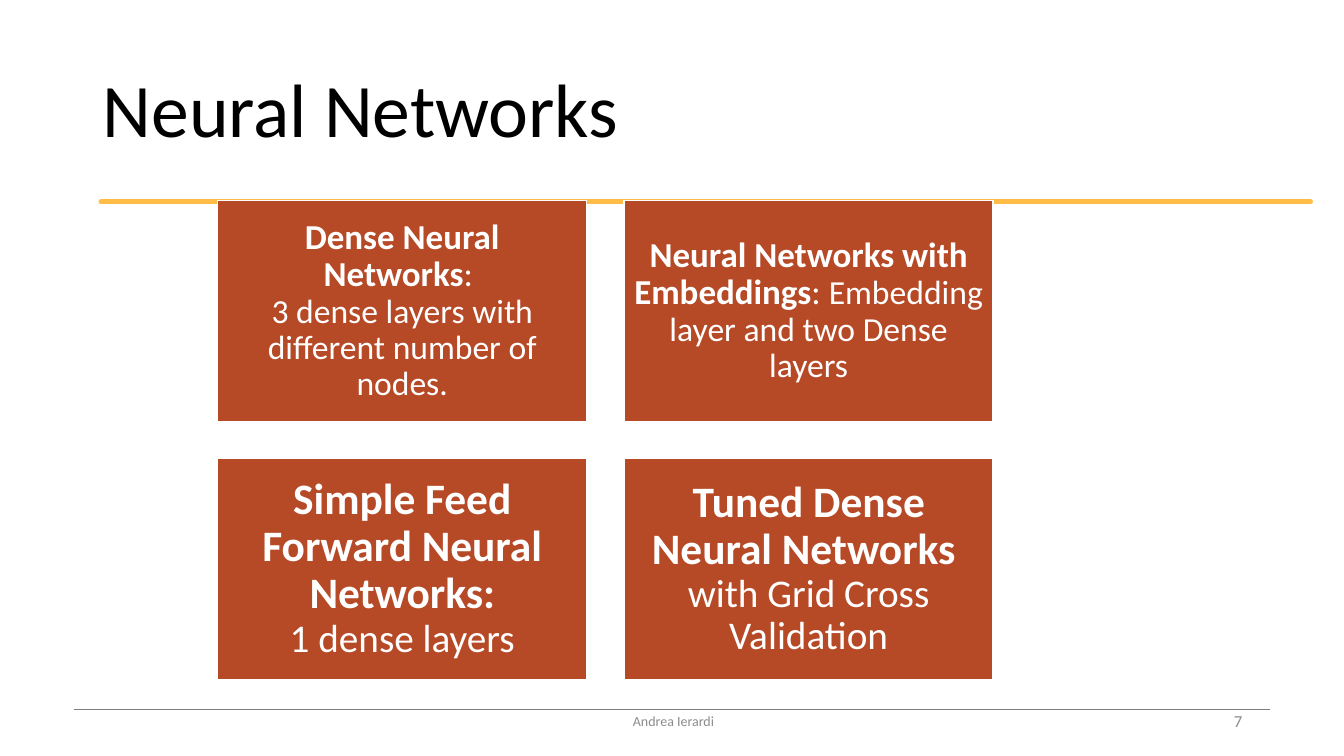
from math import sin

from lxml.etree import SubElement
from pptx import Presentation
from pptx.dml.color import RGBColor
from pptx.enum.shapes import MSO_CONNECTOR as Link, MSO_SHAPE as Shape
from pptx.enum.text import MSO_ANCHOR as Anchor, PP_ALIGN as Align
from pptx.oxml.ns import qn
from pptx.util import Inches, Pt

WIDE, HIGH = 13.33, 7.5
LEFT, RIGHT = 0.73, 12.6
GRID_X, GRID_Y = 2.16, 1.99
BOX_W, BOX_H = 3.66, 2.19
STEP_X, STEP_Y = 4.03, 2.56
WHITE, GREY, RUST, GOLD = "FFFFFF", "8C8C8C", "B64926", "FFBD47"

# Each card: heading, the text that closes the heading, body, sizes, inset
CARDS = [
    ("Dense Neural Networks", ": \v",
     "3 dense layers with different number of nodes.", 25, 24, 0.1),
    ("Neural Networks with Embeddings", ": ",
     "Embedding layer and two Dense layers", 25, 24, 0.1),
    ("Simple Feed Forward Neural Networks:", "\v",
     "1 dense layers", 31, 28, 0.13),
    ("Tuned Dense Neural Networks ", "\v",
     "with Grid Cross Validation", 31, 28, 0.13),
]


def tint(code):
    return RGBColor.from_string(code)


def paint(shape, fill, line, width):
    shape.shadow.inherit = False
    shape.fill.solid()
    shape.fill.fore_color.rgb = tint(fill)
    shape.line.color.rgb = tint(line)
    shape.line.width = Pt(width)


def add_text(slide, box, text, size, color, align=Align.LEFT, space=1.0):
    frame = slide.shapes.add_textbox(*map(Inches, box)).text_frame
    frame.word_wrap = True
    frame.vertical_anchor = Anchor.MIDDLE
    para = frame.paragraphs[0]
    para.text = text
    para.alignment, para.line_spacing = align, space
    para.font.name, para.font.size = "Calibri", Pt(size)
    para.font.color.rgb = tint(color)


def add_run(para, text, size, bold):
    """Add a run; a vertical tab at its end becomes a line break."""
    run = para.add_run()
    run.text = text.rstrip("\v")
    run.font.size, run.font.bold = Pt(size), bold
    if text.endswith("\v"):
        para.add_line_break()


def add_card(slide, row, col, card):
    head, mark, body, big, small, inset = card
    box = (GRID_X + col * STEP_X, GRID_Y + row * STEP_Y, BOX_W, BOX_H)
    shape = slide.shapes.add_shape(Shape.RECTANGLE, *map(Inches, box))
    paint(shape, RUST, WHITE, 1)
    frame = shape.text_frame
    frame.word_wrap = True
    frame.vertical_anchor = Anchor.MIDDLE
    frame.margin_left = frame.margin_right = Inches(inset)
    frame.margin_top = frame.margin_bottom = Inches(inset)
    para = frame.paragraphs[0]
    para.alignment, para.line_spacing = Align.CENTER, 0.9
    para.font.name = "Calibri"
    para.font.color.rgb = tint(WHITE)
    add_run(para, head, big, True)
    add_run(para, mark, big, False)
    add_run(para, body, small, False)


def add_brush(slide, top, thick, steps=120):
    """Draw a thin closed band whose two edges waver like a brush stroke."""
    xs = [LEFT + (RIGHT - LEFT) * i / steps for i in range(steps + 1)]
    upper = [(x, top + 0.01 * sin(3 * x) * sin(1.3 * x)) for x in xs]
    lower = [(x, top + thick + 0.01 * sin(4 * x + 1)) for x in xs]
    pts = upper + lower[::-1]
    form = slide.shapes.build_freeform(*pts[0], scale=Inches(1))
    form.add_line_segments(pts[1:], close=True)
    paint(form.convert_to_shape(), GOLD, GOLD, 3.25)


def add_rule(slide, y):
    ends = map(Inches, (LEFT, y, RIGHT, y))
    rule = slide.shapes.add_connector(Link.STRAIGHT, *ends)
    rule.line.color.rgb = tint("7F7F7F")
    rule.line.width = Pt(0.5)
    SubElement(rule.element.spPr, qn("a:effectLst"))


def main():
    deck = Presentation()
    deck.slide_width, deck.slide_height = Inches(WIDE), Inches(HIGH)
    slide = deck.slides.add_slide(deck.slide_layouts[6])
    add_text(slide, (0.92, 0.4, 11.5, 1.45), "Neural Networks", 54,
             "000000", space=0.9)
    add_brush(slide, 1.83, 0.02)
    add_rule(slide, 7.04)
    add_text(slide, (4.43, 6.95, 4.5, 0.4), "Andrea Ierardi", 10, GREY,
             Align.CENTER)
    add_text(slide, (9.42, 6.95, 3, 0.4), "7", 12, GREY, Align.RIGHT)
    for i, card in enumerate(CARDS):
        add_card(slide, *divmod(i, 2), card)
    deck.save("out.pptx")


if __name__ == "__main__":
    main()
